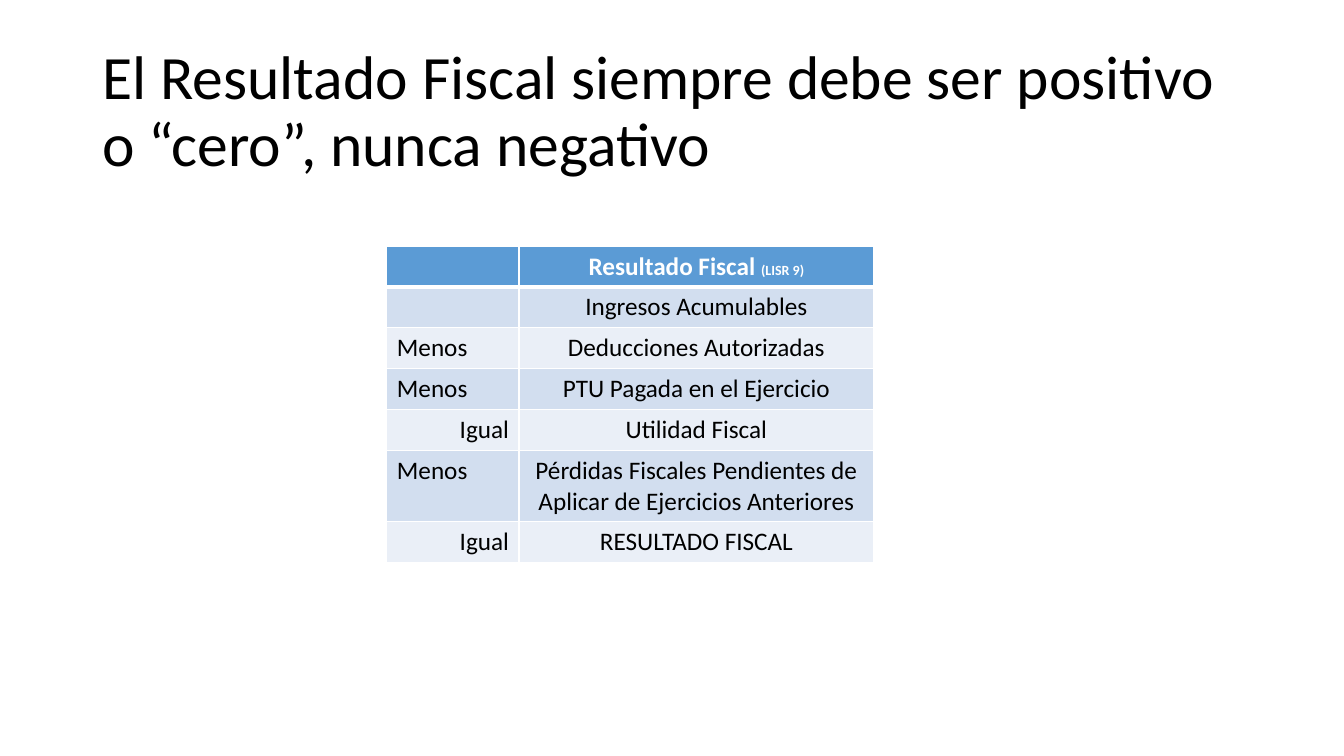
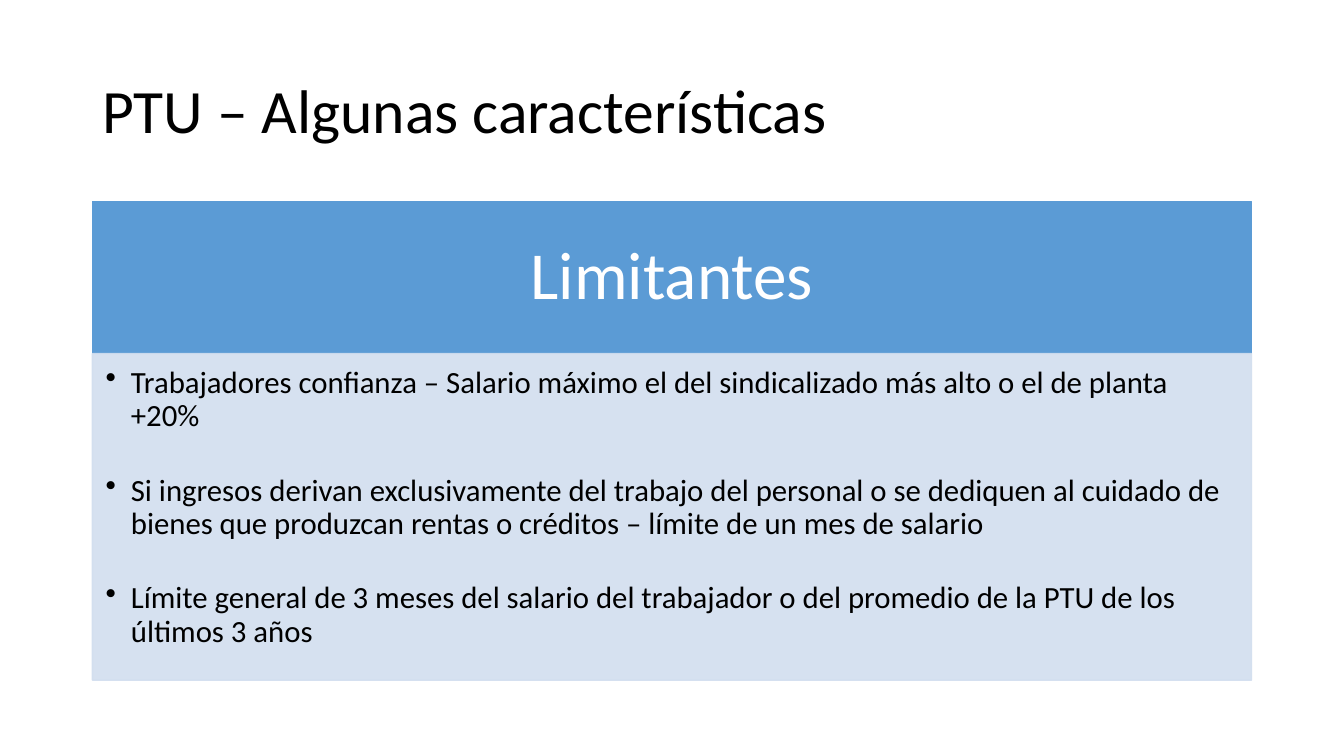
from lxml.etree import SubElement
from pptx import Presentation
from pptx.dml.color import RGBColor
from pptx.enum.shapes import MSO_SHAPE
from pptx.enum.text import MSO_ANCHOR, PP_ALIGN
from pptx.oxml.ns import qn
from pptx.util import Cm, Pt

FONT = "Calibri"
COLORS = {
    "text": "000000",
    "white": "FFFFFF",
    "accent": "5B9BD5",
    "band_dark": "D2DEEF",
    "band_light": "EAEFF7",
}
LEFT, WIDTH = 2.33, 29.21
LEFT_ALIGN, CENTER, RIGHT = PP_ALIGN.LEFT, PP_ALIGN.CENTER, PP_ALIGN.RIGHT

RESULT_ROWS = [
    ("", LEFT_ALIGN, "Ingresos Acumulables"),
    ("Menos", LEFT_ALIGN, "Deducciones Autorizadas"),
    ("Menos", LEFT_ALIGN, "PTU Pagada en el Ejercicio"),
    ("Igual", RIGHT, "Utilidad Fiscal"),
    ("Menos", LEFT_ALIGN, "Pérdidas Fiscales Pendientes de Aplicar de Ejercicios Anteriores"),
    ("Igual", RIGHT, "RESULTADO FISCAL"),
]
LIMITS = [
    "Trabajadores confianza – Salario máximo el del sindicalizado más alto o el de planta +20%",
    "Si ingresos derivan exclusivamente del trabajo del personal o se dediquen al cuidado de "
    "bienes que produzcan rentas o créditos – límite de un mes de salario",
    "Límite general de 3 meses del salario del trabajador o del promedio de la PTU de los "
    "últimos 3 años",
]


def rgb(name):
    return RGBColor.from_string(COLORS[name])


def add_run(paragraph, text, size, color="text", bold=False):
    run = paragraph.add_run()
    run.text = text
    run.font.name = FONT
    run.font.size = Pt(size)
    run.font.bold = bold
    run.font.color.rgb = rgb(color)


def set_frame(text_frame, anchor, margins):
    """Margins are left, top, right, bottom in centimetres."""
    text_frame.word_wrap = True
    text_frame.vertical_anchor = anchor
    for side, margin in zip(("left", "top", "right", "bottom"), margins):
        setattr(text_frame, f"margin_{side}", Cm(margin))


def add_titled_slide(presentation, title):
    slide = presentation.slides.add_slide(presentation.slide_layouts[6])
    title_box = slide.shapes.add_textbox(Cm(LEFT), Cm(1.01), Cm(WIDTH), Cm(3.68))
    set_frame(title_box.text_frame, MSO_ANCHOR.MIDDLE, (0.25, 0.13, 0.25, 0.13))
    paragraph = title_box.text_frame.paragraphs[0]
    paragraph.line_spacing = 0.9
    add_run(paragraph, title, 44)
    return slide


# Table cells
def set_borders(cell, top, bottom):
    properties = cell._tc.get_or_add_tcPr()
    for side, width in (("L", 1), ("R", 1), ("T", top), ("B", bottom)):
        line = SubElement(properties, qn(f"a:ln{side}"), w=str(Pt(width)))
        fill = SubElement(line, qn("a:solidFill"))
        SubElement(fill, qn("a:srgbClr"), val=COLORS["white"])


def fill_cell(cell, runs, alignment, fill, top=1, bottom=1):
    set_borders(cell, top, bottom)
    cell.fill.solid()
    cell.fill.fore_color.rgb = rgb(fill)
    paragraph = cell.text_frame.paragraphs[0]
    paragraph.alignment = alignment
    for run in runs:
        add_run(paragraph, *run)


def add_result_table(slide):
    frame = slide.shapes.add_table(len(RESULT_ROWS) + 1, 2, Cm(9.75), Cm(6.2), Cm(12.27), Cm(7.98))
    table = frame.table
    for column, width in zip(table.columns, (3.33, 8.94)):
        column.width = Cm(width)
    for row in table.rows:
        row.height = Cm(1.03)
    table.rows[5].height = Cm(1.8)  # two lines of text

    heading = [("Resultado Fiscal ", 18, "white", True), ("(LISR 9)", 10, "white", True)]
    fill_cell(table.cell(0, 0), [], LEFT_ALIGN, "accent", bottom=3)
    fill_cell(table.cell(0, 1), heading, CENTER, "accent", bottom=3)
    for index, (sign, alignment, concept) in enumerate(RESULT_ROWS, start=1):
        fill = "band_dark" if index % 2 else "band_light"
        top = 3 if index == 1 else 1
        sign_runs = [(sign, 18)] if sign else []
        fill_cell(table.cell(index, 0), sign_runs, alignment, fill, top)
        fill_cell(table.cell(index, 1), [(concept, 18)], CENTER, fill, top)


# Panels
def add_panel(slide, top, height, color, opacity=100):
    shape = slide.shapes.add_shape(MSO_SHAPE.RECTANGLE, Cm(LEFT), Cm(top), Cm(WIDTH), Cm(height))
    shape.shadow.inherit = False
    shape.line.width = Pt(1)
    for fill in (shape.fill, shape.line.fill):
        fill.solid()
        fill.fore_color.rgb = rgb(color)
    if opacity < 100:
        for color_element in shape._element.spPr.iter(qn("a:srgbClr")):
            SubElement(color_element, qn("a:alpha"), val=str(opacity * 1000))
    return shape


def add_bullet(paragraph, text):
    properties = paragraph._p.get_or_add_pPr()
    properties.set("marL", str(Cm(0.64)))
    properties.set("indent", str(Cm(-0.64)))
    SubElement(properties, qn("a:buChar"), char="•")
    paragraph.alignment = LEFT_ALIGN
    paragraph.line_spacing = 0.9
    paragraph.space_after = Pt(29.5)
    add_run(paragraph, text, 22)


def add_limits(slide):
    header = add_panel(slide, 5.08, 3.83, "accent")
    set_frame(header.text_frame, MSO_ANCHOR.MIDDLE, (0.94, 0.53, 0.94, 0.53))
    paragraph = header.text_frame.paragraphs[0]
    paragraph.alignment = CENTER
    paragraph.line_spacing = 0.9
    add_run(paragraph, "Limitantes", 48, "white")

    body = add_panel(slide, 8.91, 8.23, "band_dark", opacity=90)
    text_frame = body.text_frame
    set_frame(text_frame, MSO_ANCHOR.TOP, (0.33, 0.33, 0.43, 0.48))
    for index, limit in enumerate(LIMITS):
        paragraph = text_frame.add_paragraph() if index else text_frame.paragraphs[0]
        add_bullet(paragraph, limit)


def main():
    presentation = Presentation()
    presentation.slide_width = Cm(33.87)
    presentation.slide_height = Cm(19.05)

    result_slide = add_titled_slide(
        presentation, "El Resultado Fiscal siempre debe ser positivo o “cero”, nunca negativo")
    add_result_table(result_slide)

    limits_slide = add_titled_slide(presentation, "PTU – Algunas características")
    add_limits(limits_slide)

    presentation.save("out.pptx")


if __name__ == "__main__":
    main()
